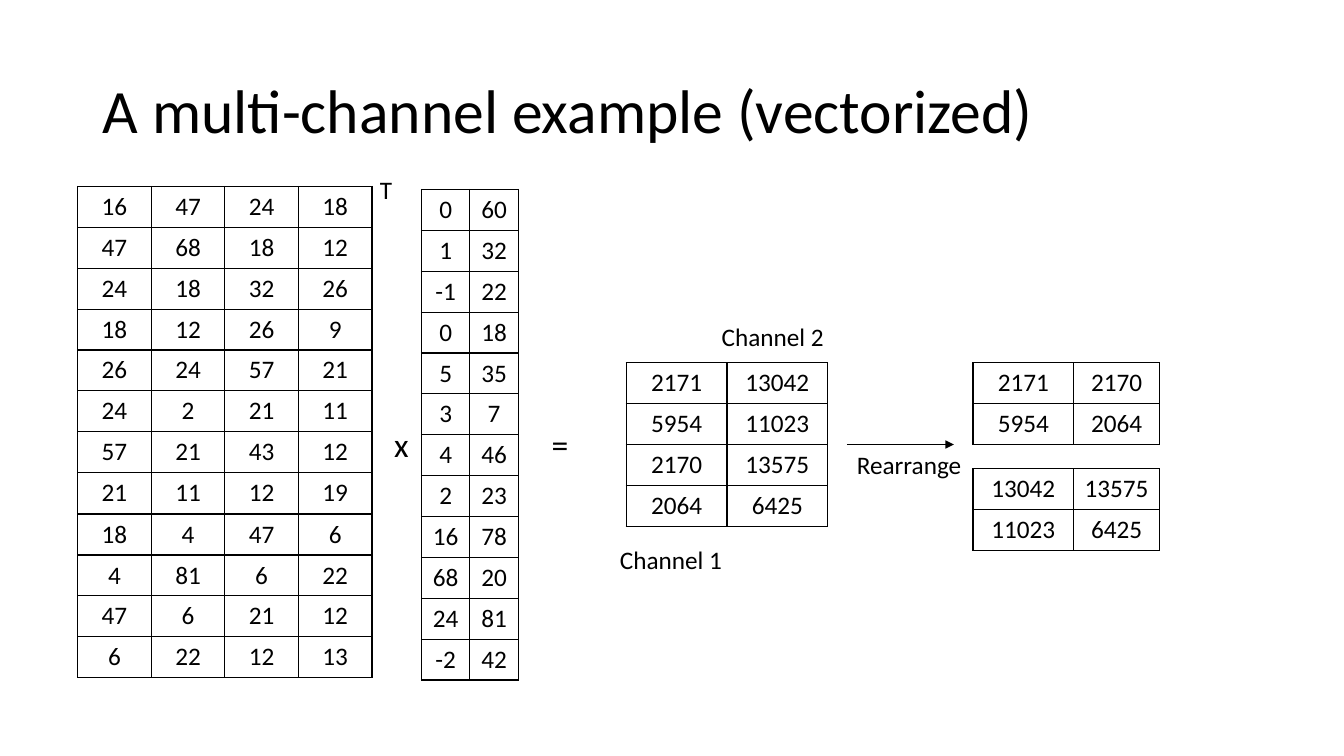
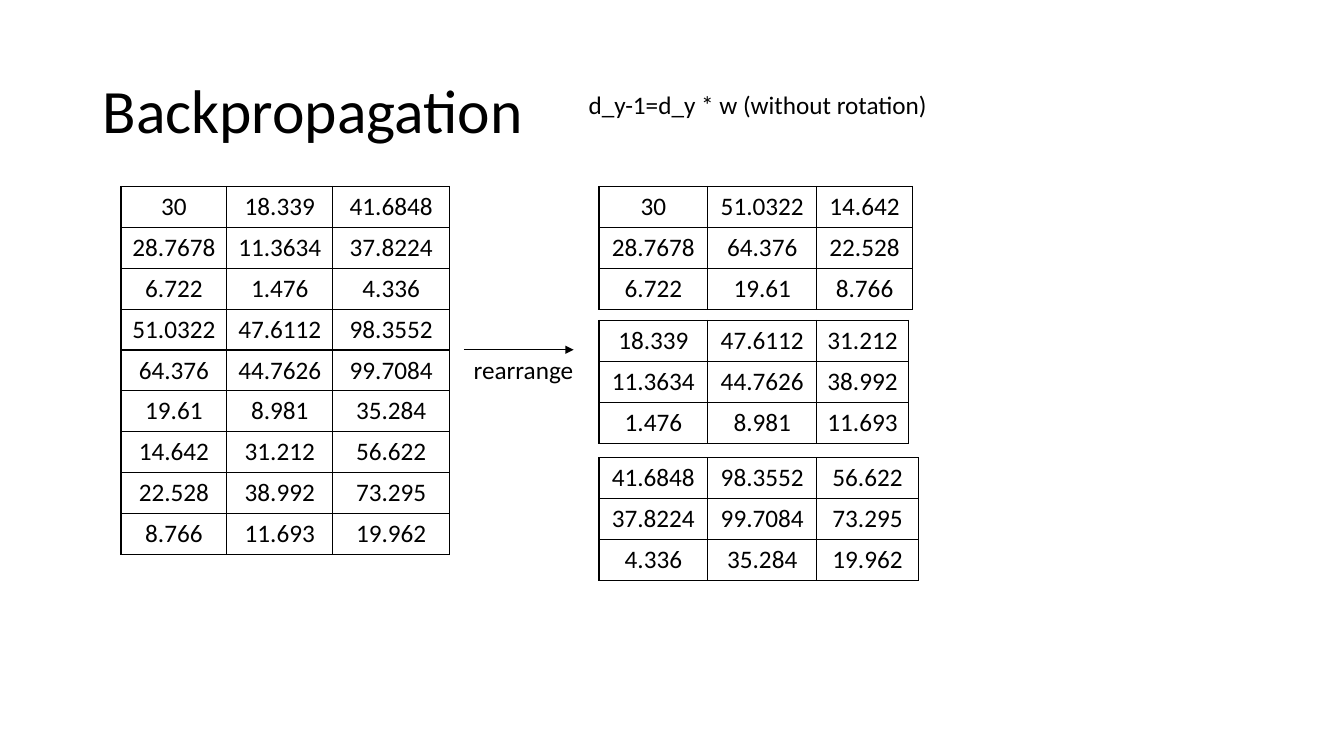
"""Build two slides on vectorized convolution and its backpropagation."""
from dataclasses import dataclass

import lxml.etree
import pptx
import pptx.dml.color
import pptx.enum.shapes
import pptx.enum.text
import pptx.oxml.ns
import pptx.slide
import pptx.text.text
import pptx.util

Inches = pptx.util.Inches
Pt = pptx.util.Pt
qn = pptx.oxml.ns.qn

BLACK = pptx.dml.color.RGBColor(0x00, 0x00, 0x00)
FONT = "Calibri"
ROW_HEIGHT = Pt(29.2)
BORDER_WIDTH = Pt(1)
ARROW_WIDTH = Pt(0.5)

Rows = list[list[str]]


@dataclass(frozen=True)
class Matrix:
    """A bordered table of numbers, placed in inches."""
    left: float
    top: float
    widths: tuple[float, ...]
    rows: Rows


@dataclass(frozen=True)
class Label:
    """A one-line text, placed in inches."""
    text: str
    left: float
    top: float
    width: float
    size: float = 18
    inset: bool = True
    wrap: bool = False


@dataclass(frozen=True)
class Arrow:
    """A horizontal arrow, placed in inches."""
    left: float
    right: float
    top: float


def to_rows(text: str) -> Rows:
    """Split rows at slashes and cells at spaces."""
    return [row.split() for row in text.split("/")]


def rearrange(rows: Rows, channel: int, size: int) -> Rows:
    """Fold one channel's column into a square, column by column."""
    column = [row[channel] for row in rows]
    return [column[start::size] for start in range(size)]


def write(paragraph: pptx.text.text._Paragraph, text: str, *, size: float = 18,
          centred: bool = False, spacing: float | None = None) -> None:
    """Add formatted text to a paragraph."""
    align = pptx.enum.text.PP_ALIGN
    paragraph.alignment = align.CENTER if centred else align.LEFT
    paragraph.line_spacing = spacing
    span = paragraph.add_run()
    span.text = text
    span.font.name = FONT
    span.font.size = Pt(size)
    span.font.color.rgb = BLACK


def add_title(page: pptx.slide.Slide, text: str) -> None:
    """Add the title shared by all pages."""
    box = page.shapes.add_textbox(Inches(0.92), Inches(0.4), Inches(11.5), Inches(1.45))
    frame = box.text_frame
    frame.word_wrap = True
    frame.vertical_anchor = pptx.enum.text.MSO_ANCHOR.MIDDLE
    write(frame.paragraphs[0], text, size=44, spacing=0.9)


def add_label(page: pptx.slide.Slide, label: Label) -> None:
    """Add a label whose box grows with its text."""
    box = page.shapes.add_textbox(
        Inches(label.left), Inches(label.top), Inches(label.width), Inches(0.4))
    frame = box.text_frame
    frame.word_wrap = label.wrap
    frame.auto_size = pptx.enum.text.MSO_AUTO_SIZE.SHAPE_TO_FIT_TEXT
    if not label.inset:
        frame.margin_left = frame.margin_right = 0
        frame.margin_top = frame.margin_bottom = 0
    write(frame.paragraphs[0], label.text, size=label.size)


def add_borders(cell: pptx.table._Cell) -> None:
    """Draw a black line on all four sides of a cell."""
    properties = cell._tc.get_or_add_tcPr()
    for index, side in enumerate(("a:lnL", "a:lnR", "a:lnT", "a:lnB")):
        line = lxml.etree.Element(qn(side), w=str(BORDER_WIDTH))
        fill = lxml.etree.SubElement(line, qn("a:solidFill"))
        lxml.etree.SubElement(fill, qn("a:srgbClr"), val=str(BLACK))
        properties.insert(index, line)


def add_matrix(page: pptx.slide.Slide, matrix: Matrix) -> None:
    """Add a matrix as an unfilled table."""
    table = page.shapes.add_table(
        len(matrix.rows), len(matrix.widths), Inches(matrix.left), Inches(matrix.top),
        Inches(sum(matrix.widths)), ROW_HEIGHT * len(matrix.rows)).table
    table.first_row = False
    table.horz_banding = False
    for column, width in zip(table.columns, matrix.widths):
        column.width = Inches(width)
    for row, values in zip(table.rows, matrix.rows):
        row.height = ROW_HEIGHT
        for cell, value in zip(row.cells, values):
            cell.fill.background()
            add_borders(cell)
            write(cell.text_frame.paragraphs[0], value, centred=True)


def add_arrow(page: pptx.slide.Slide, arrow: Arrow) -> None:
    """Add a thin arrow pointing right."""
    connector = page.shapes.add_connector(
        pptx.enum.shapes.MSO_CONNECTOR.STRAIGHT, Inches(arrow.left), Inches(arrow.top),
        Inches(arrow.right), Inches(arrow.top))
    connector.line.width = ARROW_WIDTH
    connector.line.color.rgb = BLACK
    line = connector.line._get_or_add_ln()
    lxml.etree.SubElement(line, qn("a:tailEnd"), type="triangle")
    lxml.etree.SubElement(connector._element.spPr, qn("a:effectLst"))


IMAGE_CHANNELS = [
    to_rows("16 47 24 18 / 47 68 18 12 / 24 18 32 26 / 18 12 26 9"),
    to_rows("26 24 57 21 / 24 2 21 11 / 57 21 43 12 / 21 11 12 19"),
    to_rows("18 4 47 6 / 4 81 6 22 / 47 6 21 12 / 6 22 12 13"),
]
KERNELS = to_rows("0 60 / 1 32 / -1 22 / 0 18 / 5 35 / 3 7 / "
                  "4 46 / 2 23 / 16 78 / 68 20 / 24 81 / -2 42")
PRODUCT = to_rows("2171 13042 / 5954 11023 / 2170 13575 / 2064 6425")
GRADIENT = to_rows(
    "30 18.339 41.6848 / 28.7678 11.3634 37.8224 / 6.722 1.476 4.336 / "
    "51.0322 47.6112 98.3552 / 64.376 44.7626 99.7084 / 19.61 8.981 35.284 / "
    "14.642 31.212 56.622 / 22.528 38.992 73.295 / 8.766 11.693 19.962")

EXAMPLE = [
    *(Matrix(0.77, top, (0.73,) * 4, rows)
      for top, rows in zip((1.85, 3.47, 5.1), IMAGE_CHANNELS)),
    Label("x", 3.91, 4.21, 0.24, size=24, inset=False, wrap=True),
    Label("=", 5.47, 4.21, 0.42, size=24, inset=False, wrap=True),
    Label("T", 3.67, 1.68, 0.32),
    Matrix(4.18, 1.88, (0.48, 0.48), KERNELS),
    Matrix(6.21, 3.6, (1, 1), PRODUCT),
    Label("Channel 1", 6.05, 5.35, 1.23),
    Label("Channel 2", 7.06, 3.14, 1.23),
    Arrow(8.4, 9.46, 4.41),
    Label("Rearrange", 8.4, 4.41, 1.25),
    *(Matrix(9.65, top, (1, 0.85), rearrange(PRODUCT, channel, 2))
      for channel, top in enumerate((3.6, 4.65))),
]
BACKPROPAGATION = [
    Label("d_y-1=d_y * w (without rotation)", 5.74, 0.84, 3.6),
    Matrix(1.2, 1.85, (1.05, 1.05, 1.16), GRADIENT),
    Arrow(4.6, 5.69, 3.47),
    Label("rearrange", 4.6, 3.47, 1.2),
    *(Matrix(5.94, top, (1.08, 1.08, last_width), rearrange(GRADIENT, channel, 3))
      for channel, (top, last_width) in enumerate(((1.85, 0.95), (3.18, 0.91), (4.54, 1.01)))),
]
PAGES = {
    "A multi-channel example (vectorized)": EXAMPLE,
    "Backpropagation": BACKPROPAGATION,
}
DRAW = {Matrix: add_matrix, Label: add_label, Arrow: add_arrow}


def main() -> None:
    """Build and save the deck."""
    deck = pptx.Presentation()
    deck.slide_width = Inches(13.33)
    deck.slide_height = Inches(7.5)
    for title, items in PAGES.items():
        page = deck.slides.add_slide(deck.slide_layouts[6])
        add_title(page, title)
        for item in items:
            DRAW[type(item)](page, item)
    deck.save("out.pptx")


main()
